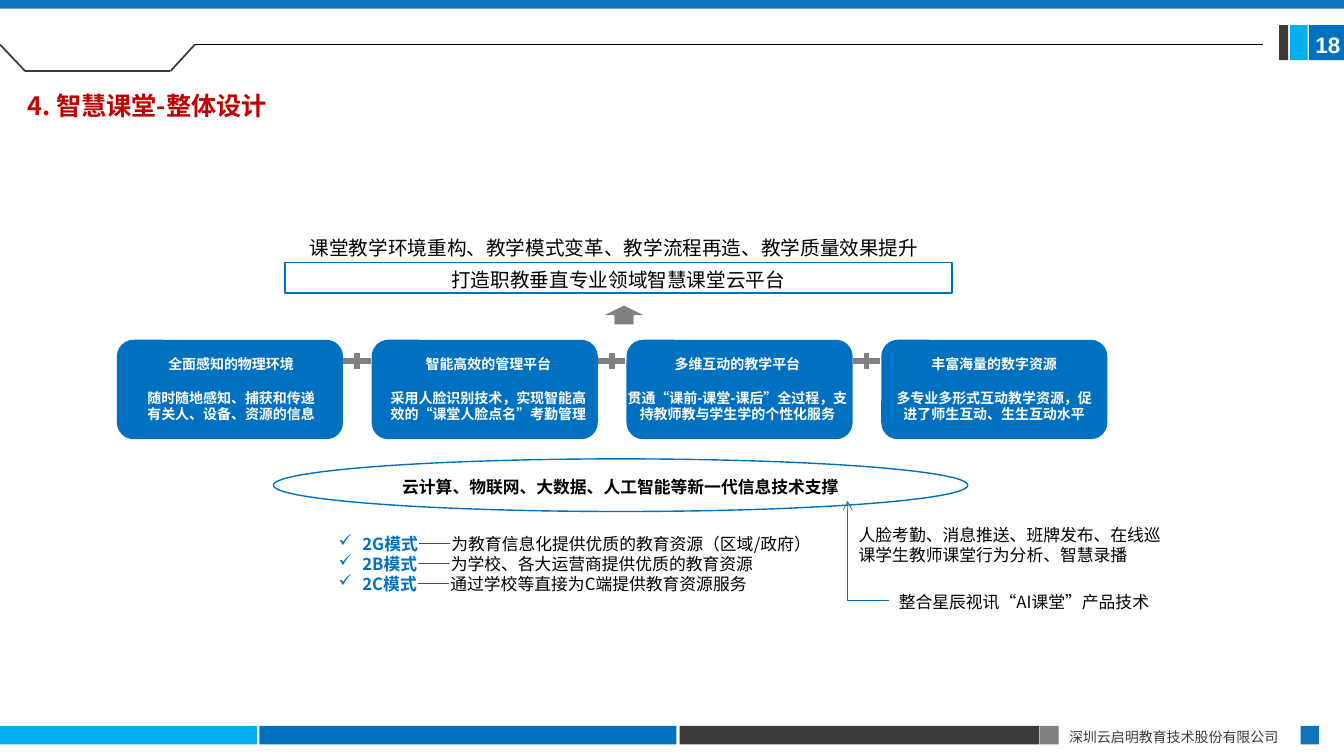
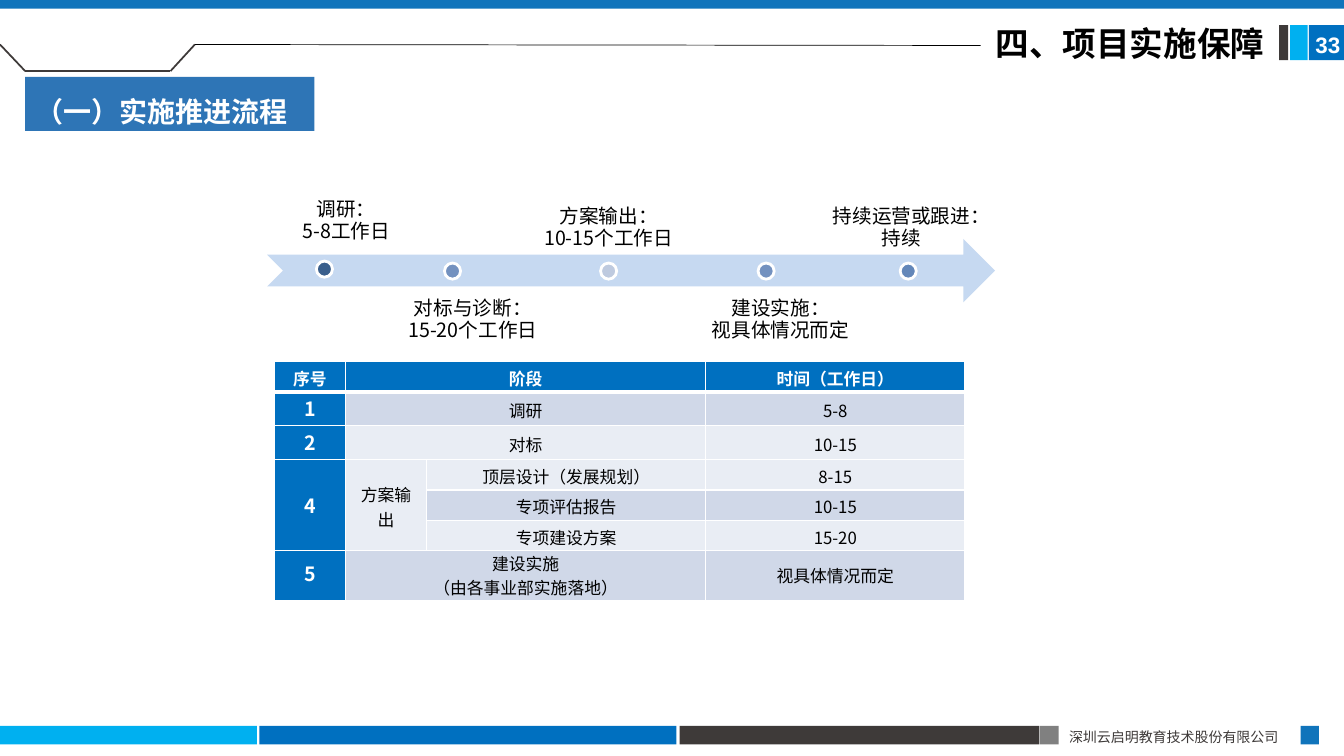
import pptx
import pptx.dml.color
import pptx.enum.shapes
import pptx.enum.text
import pptx.oxml.ns
import pptx.util
from lxml import etree

Pt = pptx.util.Pt
RGBColor = pptx.dml.color.RGBColor
SHAPE = pptx.enum.shapes.MSO_SHAPE
CONNECTOR = pptx.enum.shapes.MSO_CONNECTOR
ALIGN = pptx.enum.text.PP_ALIGN
ANCHOR = pptx.enum.text.MSO_ANCHOR
qn = pptx.oxml.ns.qn

WHITE = RGBColor(0xFF, 0xFF, 0xFF)
BLACK = RGBColor(0, 0, 0)
BLUE = RGBColor(0x00, 0x70, 0xC0)
BAND_BLUE = RGBColor(0x10, 0x74, 0xBB)
CHIP_BLUE = RGBColor(0x2E, 0x75, 0xB6)
CYAN = RGBColor(0x00, 0xB0, 0xF0)
DARK = RGBColor(0x3E, 0x3A, 0x39)
GRAY = RGBColor(0x80, 0x80, 0x80)
RED = RGBColor(0xC0, 0x00, 0x00)
ARROW_BLUE = RGBColor(0xC6, 0xD9, 0xF1)
DOT_NAVY = RGBColor(0x3A, 0x5F, 0x8C)
DOT_BLUE = RGBColor(0x73, 0x91, 0xBF)
DOT_PALE = RGBColor(0xBE, 0xCA, 0xDF)
DOT_STRONG = RGBColor(0x63, 0x87, 0xB9)
ROW_DARK = RGBColor(0xD0, 0xD8, 0xE8)
ROW_LIGHT = RGBColor(0xE9, 0xED, 0xF4)
FONT = "Noto Sans CJK SC"


def write(frame, content, size=12, color=BLACK, bold=False, font=FONT, align=ALIGN.LEFT,
          anchor=ANCHOR.TOP, spacing=1, line=None, after=0, bullet=None,
          insets=(7.2, 5, 7.2, 2)):
    """Fill a text frame; a paragraph is a string or a list of (text, color, bold)."""
    frame.word_wrap = True
    frame.vertical_anchor = anchor
    (frame.margin_left, frame.margin_top,
     frame.margin_right, frame.margin_bottom) = [Pt(inset) for inset in insets]
    paragraphs = [content] if isinstance(content, str) else content
    for index, runs in enumerate(paragraphs):
        paragraph = frame.paragraphs[0] if index == 0 else frame.add_paragraph()
        paragraph.alignment = align
        paragraph.line_spacing = Pt(line or size * 1.2 * spacing)
        if after and index < len(paragraphs) - 1:
            paragraph.space_after = Pt(after)
        if bullet:
            properties = paragraph._p.get_or_add_pPr()
            properties.set("marL", str(Pt(17)))
            properties.set("indent", str(-Pt(17)))
            etree.SubElement(properties, qn("a:buChar")).set("char", bullet)
        for words, run_color, run_bold in [(runs, color, bold)] if isinstance(runs, str) else runs:
            run = paragraph.add_run()
            run.text = words
            run.font.size = Pt(size)
            run.font.bold = run_bold
            run.font.color.rgb = run_color
            run.font.name = font
            etree.SubElement(run._r.get_or_add_rPr(), qn("a:ea")).set("typeface", font)


def draw(slide, kind, box, fill=None, outline=None, weight=1):
    """Add a preset shape, a text box (kind None) or a connector (box holds its two ends)."""
    lengths = [Pt(value) for value in box]
    if kind is None:
        return slide.shapes.add_textbox(*lengths)
    if isinstance(kind, CONNECTOR):
        shape = slide.shapes.add_connector(kind, *lengths)
        etree.SubElement(shape._element.spPr, qn("a:effectLst"))
    else:
        shape = slide.shapes.add_shape(kind, *lengths)
        shape.shadow.inherit = False
        if fill is None:
            shape.fill.background()
        else:
            shape.fill.solid()
            shape.fill.fore_color.rgb = fill
    if outline is None:
        shape.line.fill.background()
    else:
        shape.line.color.rgb = outline
        shape.line.width = Pt(weight)
    return shape


presentation = pptx.Presentation()
presentation.slide_width = Pt(960)
presentation.slide_height = Pt(540)

# Frame shared by both slides: bands, header bracket, page number, footer
BANDS = [
    ((0, 518.5, 183.5, 13.2), CYAN), ((185.2, 518.5, 298, 13.2), BLUE),
    ((485.5, 518.5, 257, 13.2), DARK), ((743, 518.5, 13.2, 13.2), GRAY),
    ((929, 518.5, 13.2, 13.2), BAND_BLUE), ((921.5, 18, 12.5, 25), CYAN),
    ((913.7, 18, 6.5, 25), DARK), ((0, 0, 960, 6.3), BAND_BLUE),
]
BRACKET = [(0, 31.8), (18, 50.8), (121.8, 50.8), (139.2, 31.8)]
slides = []
for number, rule_end in (("18", (902, 31.8)), ("33", (700.5, 32.5))):
    slide = presentation.slides.add_slide(presentation.slide_layouts[6])
    slides.append(slide)
    for box, color in BANDS:
        draw(slide, SHAPE.RECTANGLE, box, color)
    for start, end in zip(BRACKET, BRACKET[1:]):
        draw(slide, CONNECTOR.STRAIGHT, start + end, outline=DARK, weight=1.25)
    draw(slide, CONNECTOR.STRAIGHT, BRACKET[-1] + rule_end, outline=BLACK, weight=0.5)
    page = draw(slide, SHAPE.RECTANGLE, (935, 18, 25, 25), BLUE)
    write(page.text_frame, number, size=16, color=WHITE, bold=True, font="Arial",
          align=ALIGN.CENTER, anchor=ANCHOR.MIDDLE, insets=(2, 3, 0, 0))
    footer = draw(slide, None, (756.5, 515.5, 173, 19.4))
    write(footer.text_frame, "深圳云启明教育技术股份有限公司", size=10, color=DARK)
design, process = slides

# Slide 1: title and goal
title = draw(design, None, (12.5, 48.5, 316, 40))
write(title.text_frame, "4. 智慧课堂-整体设计", size=18, color=RED, bold=True, spacing=1.5)
goal = draw(design, None, (201.5, 155, 474.5, 32.4))
write(goal.text_frame, "课堂教学环境重构、教学模式变革、教学流程再造、教学质量效果提升",
      size=14, align=ALIGN.CENTER, spacing=1.5)
platform = draw(design, SHAPE.RECTANGLE, (203.5, 187.5, 476.5, 21.8), outline=BLUE)
write(platform.text_frame, "打造职教垂直专业领域智慧课堂云平台", size=14,
      align=ALIGN.CENTER, anchor=ANCHOR.MIDDLE)
draw(design, SHAPE.UP_ARROW, (432, 218.3, 27.4, 13.5), GRAY)

# Slide 1: four cards joined by plus signs; each text has its own left and width
CARDS = [
    (96.5, 137, "全面感知的物理环境", "随时随地感知、捕获和传递有关人、设备、资源的信息"),
    (269.3, 159, "智能高效的管理平台", "采用人脸识别技术，实现智能高效的“课堂人脸点名”考勤管理"),
    (439.2, 175, "多维互动的教学平台", "贯通“课前-课堂-课后”全过程，支持教师教与学生学的个性化服务"),
    (628.6, 163, "丰富海量的数字资源", "多专业多形式互动教学资源，促进了师生互动、生生互动水平"),
]
CARD_LEFT, CARD_STEP, CARD_WIDTH = 83.5, 182, 161.5
for index, (left, width, heading, body) in enumerate(CARDS):
    card_left = CARD_LEFT + index * CARD_STEP
    draw(design, SHAPE.ROUNDED_RECTANGLE, (card_left, 242.7, CARD_WIDTH, 71), BLUE)
    label = draw(design, None, (left, 249, width, 55.5))
    write(label.text_frame, [heading, body], size=10, color=WHITE, bold=True,
          align=ALIGN.CENTER, after=12)
    if index:
        middle = card_left - 10.5
        draw(design, CONNECTOR.STRAIGHT, (middle - 9.7, 258, middle + 9.7, 258),
             outline=GRAY, weight=4)
        draw(design, CONNECTOR.STRAIGHT, (middle, 252.5, middle, 263.5),
             outline=GRAY, weight=4)

# Slide 1: supporting technology, business modes and notes
technology = draw(design, SHAPE.OVAL, (195.3, 327.8, 496, 37.6), outline=BLUE)
write(technology.text_frame, "云计算、物联网、大数据、人工智能等新一代信息技术支撑",
      bold=True, align=ALIGN.CENTER, anchor=ANCHOR.MIDDLE)
MODES = [
    ("2G模式", "——为教育信息化提供优质的教育资源（区域/政府）"),
    ("2B模式", "——为学校、各大运营商提供优质的教育资源"),
    ("2C模式", "——通过学校等直接为C端提供教育资源服务"),
]
modes = draw(design, None, (234.7, 376, 360.7, 65))
write(modes.text_frame, [[(mode, BLUE, True), (meaning, BLACK, False)] for mode, meaning in MODES],
      bullet="✓")
features = draw(design, None, (606.3, 370, 237.6, 36))
write(features.text_frame, "人脸考勤、消息推送、班牌发布、在线巡课学生教师课堂行为分析、智慧录播")
product = draw(design, None, (635, 417.6, 196.6, 36))
write(product.text_frame, "整合星辰视讯“AI课堂”产品技术")

# Elbow arrow from the product note up to the technology ellipse
elbow = draw(design, CONNECTOR.ELBOW, (605.5, 357.8, 635, 428.8), outline=BLUE, weight=0.5)
properties = elbow._element.spPr
properties.find(qn("a:prstGeom")).set("prst", "bentConnector2")
properties.find(qn("a:xfrm")).set("rot", "10800000")
etree.SubElement(properties.find(qn("a:ln")), qn("a:tailEnd")).set("type", "arrow")

# Slide 2: headings
section = draw(process, None, (704, 14.5, 218, 36))
write(section.text_frame, "四、项目实施保障", size=24, bold=True, spacing=0.9)
chip = draw(process, SHAPE.RECTANGLE, (18, 55, 206.5, 38.6), CHIP_BLUE)
write(chip.text_frame, "（一）实施推进流程", size=20, color=WHITE, bold=True, spacing=1.3)

# Slide 2: timeline; labels sit above or below the arrow
draw(process, SHAPE.NOTCHED_RIGHT_ARROW, (190.8, 170.6, 520, 45.4), ARROW_BLUE)
MILESTONES = [
    (226, 186.5, DOT_NAVY, (190.8, 137.5, 113, 40), "调研：", "5-8工作日"),
    (317.5, 187.9, DOT_BLUE, (281.5, 210.2, 112.5, 45.4), "对标与诊断：", "15-20个工作日"),
    (429, 187.9, DOT_PALE, (380, 136.8, 109.5, 45.4), "方案输出：", "10-15个工作日"),
    (541.5, 187.9, DOT_BLUE, (494.6, 210.2, 126, 45.4), "建设实施：", "视具体情况而定"),
    (643, 187.9, DOT_STRONG, (587.5, 136.8, 113, 45.4), "持续运营或跟进：", "持续"),
]
for index, (left, top, color, box, stage, duration) in enumerate(MILESTONES):
    draw(process, SHAPE.OVAL, (left, top, 11.5, 11.5), color, WHITE, 2)
    label = draw(process, None, box)
    write(label.text_frame, [stage, duration], size=14, align=ALIGN.CENTER, line=10.8, after=4.9,
          anchor=ANCHOR.TOP if index % 2 else ANCHOR.BOTTOM, insets=(5.8, 7.2, 5.8, 4.2))

# Slide 2: schedule table; None marks a merged cell
ROWS = [
    (21.5, BLUE, ["序号", "阶段", None, "时间（工作日）"]),
    (24.2, ROW_DARK, ["1", "调研", None, "5-8"]),
    (24.2, ROW_LIGHT, ["2", "对标", None, "10-15"]),
    (21.7, ROW_LIGHT, ["4", "方案输出", "顶层设计（发展规划）", "8-15"]),
    (21.7, ROW_DARK, [None, None, "专项评估报告", "10-15"]),
    (21.7, ROW_LIGHT, [None, None, "专项建设方案", "15-20"]),
    (35.4, ROW_DARK, ["5", ["建设实施", "（由各事业部实施落地）"], None, "视具体情况而定"]),
]
WIDTHS = [50.8, 58, 199.4, 185]
table = process.shapes.add_table(len(ROWS), len(WIDTHS), Pt(196), Pt(258.5),
                                 Pt(sum(WIDTHS)), Pt(170.4)).table
table.horz_banding = False
for column, width in zip(table.columns, WIDTHS):
    column.width = Pt(width)
for row, (height, fill, values) in enumerate(ROWS):
    table.rows[row].height = Pt(height)
    for column, value in enumerate(values):
        cell = table.cell(row, column)
        strong = row == 0 or column == 0
        if value is not None:
            write(cell.text_frame, value, size=14 if column == 0 and row else 12,
                  color=WHITE if strong else BLACK, bold=strong, align=ALIGN.CENTER,
                  line=17.4)
        cell.vertical_anchor = ANCHOR.MIDDLE
        cell.margin_top = Pt(0 if row == len(ROWS) - 1 else 2)
        cell.margin_bottom = Pt(0)
        properties = cell._tc.get_or_add_tcPr()
        for side in ("lnL", "lnR", "lnT", "lnB"):
            thick = (row, side) in ((0, "lnB"), (1, "lnT"))
            border = etree.SubElement(properties, qn("a:" + side), w=str(Pt(3 if thick else 1)))
            paint = etree.SubElement(border, qn("a:solidFill"))
            etree.SubElement(paint, qn("a:srgbClr"), val=str(WHITE))
        cell.fill.solid()
        cell.fill.fore_color.rgb = BLUE if strong else fill
for row in (0, 1, 2, 6):
    table.cell(row, 1).merge(table.cell(row, 2))
for column in (0, 1):
    table.cell(3, column).merge(table.cell(5, column))

presentation.save("out.pptx")
